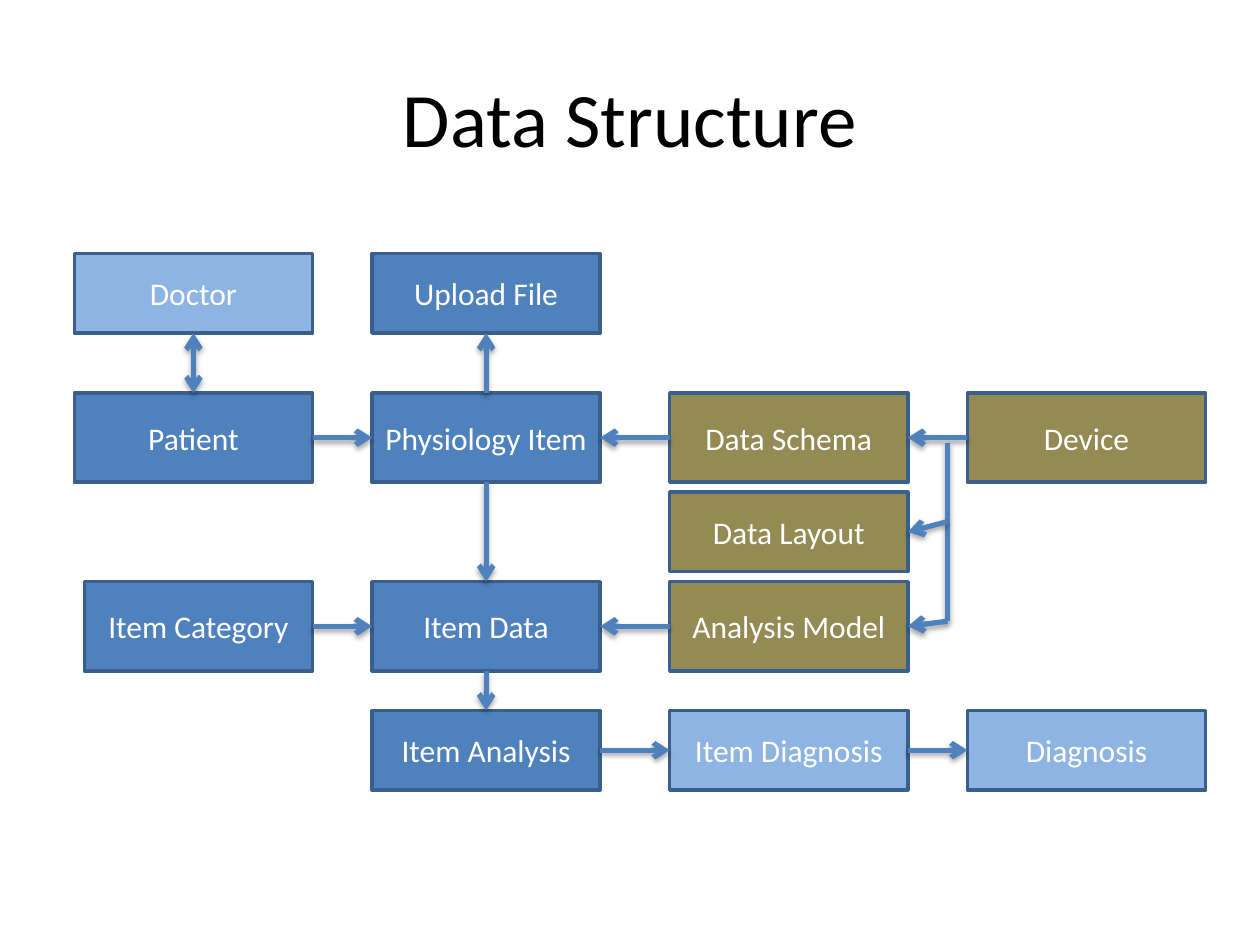
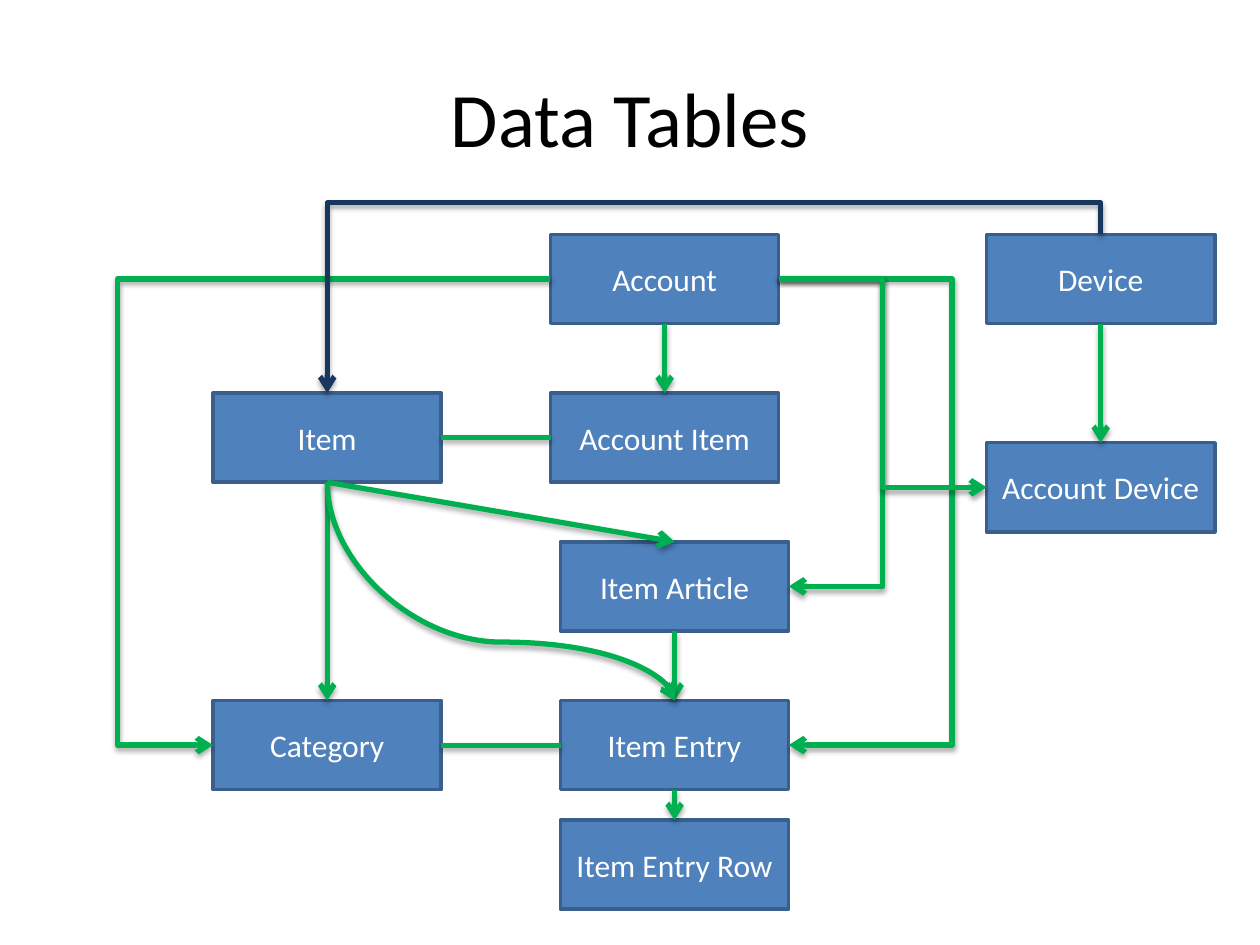
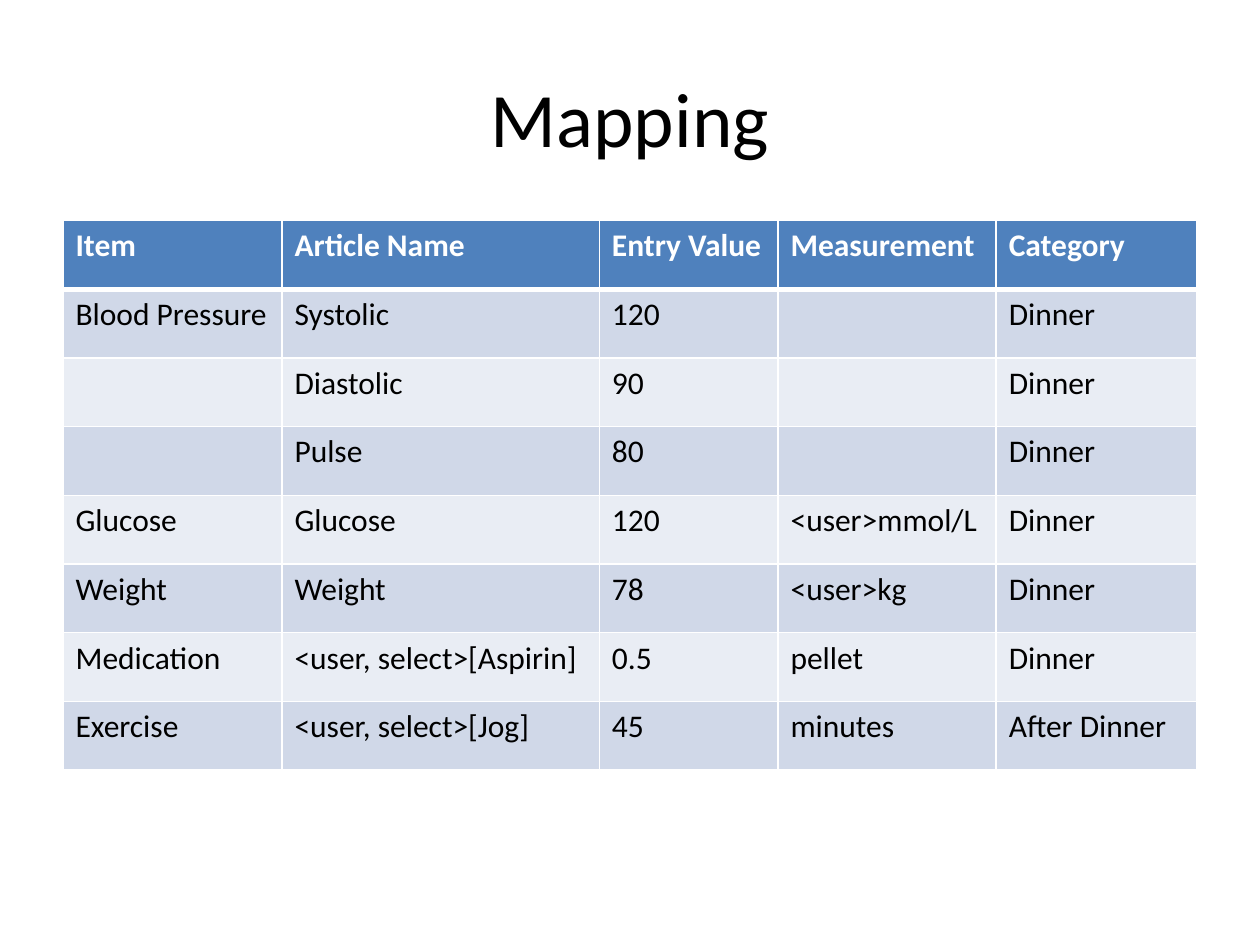
import dataclasses

import lxml.etree
import pptx
import pptx.dml.color
import pptx.enum.shapes
import pptx.enum.text
import pptx.oxml
import pptx.oxml.ns
import pptx.util

Pt = pptx.util.Pt
qn = pptx.oxml.ns.qn
Align = pptx.enum.text.PP_ALIGN
Anchor = pptx.enum.text.MSO_ANCHOR
Route = pptx.enum.shapes.MSO_CONNECTOR

TOP, LEFT, BOTTOM, RIGHT = range(4)


@dataclasses.dataclass(frozen=True)
class Theme:
    font: str = "Calibri"
    title_size: float = 44
    body_size: float = 18
    box_line: float = 2
    arrow_line: float = 3
    black: str = "000000"
    white: str = "FFFFFF"
    blue: str = "4F81BD"
    edge: str = "3A5F8C"
    sky: str = "8EB4E3"
    olive: str = "948A54"
    green: str = "00B050"
    navy: str = "17375E"
    bands: tuple = ("D0D8E8", "E9EDF4")


THEME = Theme()

SHADOW = (
    '<a:effectLst xmlns:a="http://schemas.openxmlformats.org/drawingml/2006/main">'
    '<a:outerShdw blurRad="39370" dist="22860" dir="5400000" rotWithShape="0">'
    '<a:srgbClr val="000000"><a:alpha val="35000"/></a:srgbClr>'
    '</a:outerShdw></a:effectLst>'
)


def rgb(color):
    return pptx.dml.color.RGBColor.from_string(color)


def write(frame, text, size=THEME.body_size, color=THEME.black, bold=False, align=Align.LEFT):
    para = frame.paragraphs[0]
    para.alignment = align
    span = para.add_run()
    span.text = text
    span.font.name = THEME.font
    span.font.size = Pt(size)
    span.font.bold = bold
    span.font.color.rgb = rgb(color)


def add_page(deck, title):
    page = deck.slides.add_slide(deck.slide_layouts[6])
    frame = page.shapes.add_textbox(Pt(36), Pt(21.6), Pt(648), Pt(90)).text_frame
    frame.word_wrap = True
    frame.vertical_anchor = Anchor.MIDDLE
    write(frame, title, size=THEME.title_size, align=Align.CENTER)
    return page


def add_box(page, text, left, top, width, height, fill=THEME.blue):
    box = page.shapes.add_shape(pptx.enum.shapes.MSO_SHAPE.RECTANGLE,
                                Pt(left), Pt(top), Pt(width), Pt(height))
    box.shadow.inherit = False
    box.fill.solid()
    box.fill.fore_color.rgb = rgb(fill)
    box.line.color.rgb = rgb(THEME.edge)
    box.line.width = Pt(THEME.box_line)
    box.text_frame.word_wrap = True
    box.text_frame.vertical_anchor = Anchor.MIDDLE
    write(box.text_frame, text, color=THEME.white, align=Align.CENTER)
    return box


def side_point(box, side):
    x = {LEFT: 0, RIGHT: box.width}.get(side, box.width // 2)
    y = {TOP: 0, BOTTOM: box.height}.get(side, box.height // 2)
    return box.left + x, box.top + y


def add_line(page, start, end, color=THEME.blue, ends=("tail",), route=Route.STRAIGHT):
    line = page.shapes.add_connector(route, *start, *end)
    line.line.color.rgb = rgb(color)
    line.line.width = Pt(THEME.arrow_line)
    outline = line.line._get_or_add_ln()
    for end_name in ends:
        lxml.etree.SubElement(outline, qn(f"a:{end_name}End"), type="arrow")
    line._element.spPr.append(pptx.oxml.parse_xml(SHADOW))
    return line


def join(page, source, source_side, target, target_side, **style):
    line = add_line(page, side_point(source, source_side),
                    side_point(target, target_side), **style)
    line.begin_connect(source, source_side)
    line.end_connect(target, target_side)
    return line


def join_by_lane(page, source, source_side, target, target_side, lane,
                 route=Route.ELBOW, **style):
    line = join(page, source, source_side, target, target_side, route=route, **style)
    x1, y1 = side_point(source, source_side)
    x2, y2 = side_point(target, target_side)
    start, reach = x1, x2 - x1
    if source_side in (TOP, BOTTOM):
        start, reach = y1, y2 - y1
        line.width, line.height = abs(y2 - y1), abs(x2 - x1)
        line.left = (x1 + x2 - line.width) // 2
        line.top = (y1 + y2 - line.height) // 2
        frame = line._element.spPr.find(qn("a:xfrm"))
        frame.set("rot", "16200000")
        frame.set("flipH", str(int(y2 > y1)))
        frame.set("flipV", str(int(x2 < x1)))
    geometry = line._element.spPr.find(qn("a:prstGeom"))
    guides = geometry.find(qn("a:avLst"))
    if guides is None:
        guides = lxml.etree.SubElement(geometry, qn("a:avLst"))
    bend = round((Pt(lane) - start) / reach * 100000)
    lxml.etree.SubElement(guides, qn("a:gd"), name="adj1", fmla=f"val {bend}")


def set_borders(cell, **widths):
    properties = cell._tc.get_or_add_tcPr()
    for index, side in enumerate("LRTB"):
        border = lxml.etree.Element(qn(f"a:ln{side}"), w=str(Pt(widths.get(side, 1))))
        paint = lxml.etree.SubElement(border, qn("a:solidFill"))
        lxml.etree.SubElement(paint, qn("a:srgbClr"), val=THEME.white)
        properties.insert(index, border)


def add_grid(page, left, top, widths, row_height, rows):
    table = page.shapes.add_table(len(rows), len(widths), Pt(left), Pt(top),
                                  Pt(sum(widths)), Pt(row_height * len(rows))).table
    for column, width in zip(table.columns, widths):
        column.width = Pt(width)
    for r, values in enumerate(rows):
        table.rows[r].height = Pt(row_height)
        header = r == 0
        for c, value in enumerate(values):
            cell = table.cell(r, c)
            cell.fill.solid()
            cell.fill.fore_color.rgb = rgb(THEME.blue if header else THEME.bands[(r - 1) % 2])
            set_borders(cell, T=3 if r == 1 else 1, B=3 if header else 1)
            if value:
                write(cell.text_frame, value, bold=header,
                      color=THEME.white if header else THEME.black)


def build_structure(deck):
    page = add_page(deck, "Data Structure")
    columns = [42.5 + 170.1 * i for i in range(4)]
    wide, narrow, tall, short = 136.1, 130.4, 51, 45.4
    doctor_row, patient_row, layout_row, data_row, analysis_row = 144.9, 224.6, 281.3, 332.4, 406
    layout = [
        ("Doctor", 0, doctor_row, short, THEME.sky),
        ("Upload File", 1, doctor_row, short, THEME.blue),
        ("Patient", 0, patient_row, tall, THEME.blue),
        ("Physiology Item", 1, patient_row, tall, THEME.blue),
        ("Data Schema", 2, patient_row, tall, THEME.olive),
        ("Device", 3, patient_row, tall, THEME.olive),
        ("Data Layout", 2, layout_row, short, THEME.olive),
        ("Item Data", 1, data_row, tall, THEME.blue),
        ("Analysis Model", 2, data_row, tall, THEME.olive),
        ("Item Analysis", 1, analysis_row, short, THEME.blue),
        ("Item Diagnosis", 2, analysis_row, short, THEME.sky),
        ("Diagnosis", 3, analysis_row, short, THEME.sky),
    ]
    boxes = {
        name: add_box(page, name, columns[column], top, narrow if column == 1 else wide,
                      height, fill)
        for name, column, top, height, fill in layout
    }
    boxes["Item Category"] = add_box(page, "Item Category", columns[0] + wide - narrow,
                                     data_row, narrow, tall)
    for source, source_side, target, target_side in [
        ("Patient", RIGHT, "Physiology Item", LEFT),
        ("Item Diagnosis", RIGHT, "Diagnosis", LEFT),
        ("Data Schema", LEFT, "Physiology Item", RIGHT),
        ("Physiology Item", BOTTOM, "Item Data", TOP),
        ("Analysis Model", LEFT, "Item Data", RIGHT),
        ("Item Data", BOTTOM, "Item Analysis", TOP),
        ("Item Analysis", RIGHT, "Item Diagnosis", LEFT),
        ("Device", LEFT, "Data Schema", RIGHT),
        ("Physiology Item", TOP, "Upload File", BOTTOM),
        ("Item Category", RIGHT, "Item Data", LEFT),
    ]:
        join(page, boxes[source], source_side, boxes[target], target_side)
    join(page, boxes["Doctor"], BOTTOM, boxes["Patient"], TOP, ends=("head", "tail"))

    trunk, trunk_end = Pt(541.4), Pt(355)
    add_line(page, (trunk, Pt(252.9)), (trunk, trunk_end), ends=())
    for name, branch in [("Analysis Model", trunk_end), ("Data Layout", Pt(298.1))]:
        line = add_line(page, (trunk, branch), side_point(boxes[name], RIGHT))
        line.end_connect(boxes[name], RIGHT)


def build_tables(deck):
    page = add_page(deck, "Data Tables")
    item_column, account_column, entry_column, device_column = 121.8, 314.6, 320.3, 563.8
    boxes = {
        name: add_box(page, name, left, top, 130.4, 51)
        for name, left, top in [
            ("Account", account_column, 133.9),
            ("Account Item", account_column, 224.6),
            ("Item Article", entry_column, 309.6),
            ("Item Entry", entry_column, 400.3),
            ("Item Entry Row", entry_column, 468.6),
            ("Item", item_column, 224.6),
            ("Category", item_column, 400.3),
            ("Device", device_column, 133.9),
            ("Account Device", device_column, 253),
        ]
    }
    for source, source_side, target, target_side, ends in [
        ("Account", BOTTOM, "Account Item", TOP, ("tail",)),
        ("Item", BOTTOM, "Item Article", TOP, ("tail",)),
        ("Item Article", BOTTOM, "Item Entry", TOP, ("tail",)),
        ("Item", RIGHT, "Account Item", LEFT, ()),
        ("Category", RIGHT, "Item Entry", LEFT, ()),
        ("Item", BOTTOM, "Category", TOP, ("tail",)),
        ("Device", BOTTOM, "Account Device", TOP, ("tail",)),
        ("Item Entry", BOTTOM, "Item Entry Row", TOP, ("tail",)),
    ]:
        join(page, boxes[source], source_side, boxes[target], target_side,
             color=THEME.green, ends=ends)
    for source, source_side, target, target_side, lane, route, color in [
        ("Account", LEFT, "Category", LEFT, 67.2, Route.ELBOW, THEME.green),
        ("Account", RIGHT, "Item Entry", RIGHT, 544.1, Route.ELBOW, THEME.green),
        ("Item", BOTTOM, "Item Entry", TOP, 366.9, Route.CURVE, THEME.green),
        ("Account", RIGHT, "Item Article", RIGHT, 504.2, Route.ELBOW, THEME.green),
        ("Account", RIGHT, "Account Device", LEFT, 504.4, Route.ELBOW, THEME.green),
        ("Device", TOP, "Item", TOP, 115.9, Route.ELBOW, THEME.navy),
    ]:
        join_by_lane(page, boxes[source], source_side, boxes[target], target_side,
                     lane, route=route, color=color)


def build_mapping(deck):
    page = add_page(deck, "Mapping")
    add_grid(page, 36, 126, [125.1, 181.4, 102.1, 124.7, 114.7], 39.26, [
        ("Item", "Article Name", "Entry Value", "Measurement", "Category"),
        ("Blood Pressure", "Systolic", "120", "", "Dinner"),
        ("", "Diastolic", "90", "", "Dinner"),
        ("", "Pulse", "80", "", "Dinner"),
        ("Glucose", "Glucose", "120", "<user>mmol/L", "Dinner"),
        ("Weight", "Weight", "78", "<user>kg", "Dinner"),
        ("Medication", "<user, select>[Aspirin]", "0.5", "pellet", "Dinner"),
        ("Exercise", "<user, select>[Jog]", "45", "minutes", "After Dinner"),
    ])


def main():
    deck = pptx.Presentation()
    deck.slide_width, deck.slide_height = Pt(720), Pt(540)
    build_structure(deck)
    build_tables(deck)
    build_mapping(deck)
    deck.save("out.pptx")


main()
